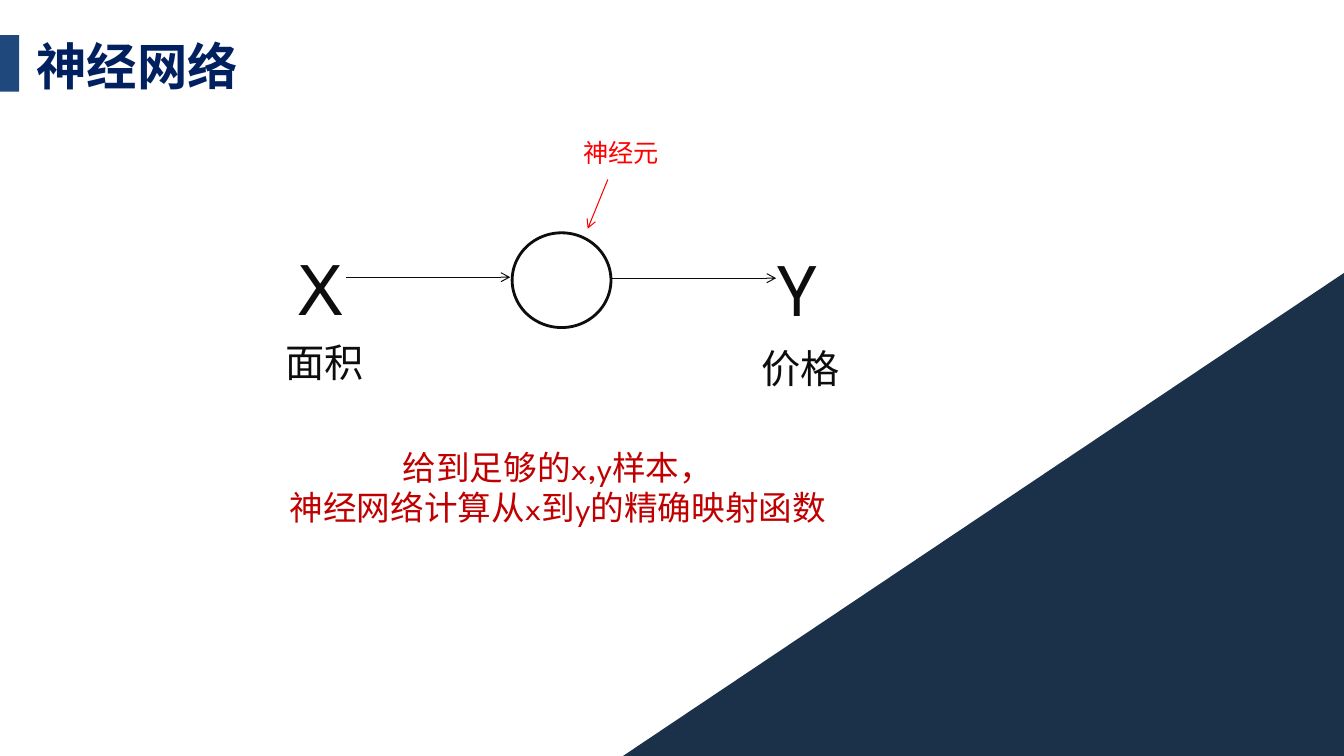
import pptx
import pptx.util
import pptx.dml.color
import pptx.enum.shapes
import pptx.enum.text
import pptx.oxml
import pptx.oxml.ns

Pt = pptx.util.Pt
MSO_SHAPE = pptx.enum.shapes.MSO_SHAPE
PP_ALIGN = pptx.enum.text.PP_ALIGN
MSO_AUTO_SIZE = pptx.enum.text.MSO_AUTO_SIZE

COLORS = {
    "title": "002060",
    "bar": "1F497D",
    "corner": "1B3049",
    "ink": "0D0D0D",
    "white": "FFFFFF",
    "note": "FF0000",
    "conclusion": "C00000",
}
TITLE_FONT = "Noto Sans CJK SC"
BODY_FONT = "League Spartan"


def rgb(name):
    return pptx.dml.color.RGBColor.from_string(COLORS[name])


def style_paragraph(p, size, color, font=BODY_FONT, align=PP_ALIGN.LEFT):
    p.alignment = align
    p.font.size = Pt(size)
    p.font.name = font
    p.font.color.rgb = rgb(color)


def add_title(s, text, left, top, width, height):
    sp = s.shapes.title
    sp.left, sp.top, sp.width, sp.height = Pt(left), Pt(top), Pt(width), Pt(height)
    tf = sp.text_frame
    tf.text = text
    tf.auto_size = MSO_AUTO_SIZE.NONE
    tf.vertical_anchor = pptx.enum.text.MSO_ANCHOR.MIDDLE
    tf.margin_left = tf.margin_top = tf.margin_right = tf.margin_bottom = 0
    p = tf.paragraphs[0]
    style_paragraph(p, 36, "title", TITLE_FONT)
    p.font.bold = True
    p.line_spacing = 0.7


def add_shape(s, kind, left, top, width, height, fill, line=None):
    sp = s.shapes.add_shape(kind, Pt(left), Pt(top), Pt(width), Pt(height))
    sp.shadow.inherit = False
    sp.fill.solid()
    sp.fill.fore_color.rgb = rgb(fill)
    if line:
        sp.line.color.rgb = rgb(line)
        sp.line.width = Pt(2)
    else:
        sp.line.fill.background()
    return sp


def add_arrow(s, x1, y1, x2, y2, color):
    cxn = s.shapes.add_connector(
        pptx.enum.shapes.MSO_CONNECTOR.STRAIGHT, Pt(x1), Pt(y1), Pt(x2), Pt(y2))
    cxn.line.color.rgb = rgb(color)
    cxn.line.width = Pt(0.75)
    tail = pptx.oxml.parse_xml(
        f'<a:tailEnd {pptx.oxml.ns.nsdecls("a")} type="arrow"/>')
    cxn.line._get_or_add_ln().append(tail)
    effects = pptx.oxml.parse_xml(f'<a:effectLst {pptx.oxml.ns.nsdecls("a")}/>')
    cxn.element.spPr.append(effects)


def add_text(s, lines, left, top, width, height, size, color, align=PP_ALIGN.LEFT):
    sp = s.shapes.add_textbox(Pt(left), Pt(top), Pt(width), Pt(height))
    tf = sp.text_frame
    tf.word_wrap = True
    tf.auto_size = MSO_AUTO_SIZE.SHAPE_TO_FIT_TEXT
    tf.text = "\n".join(lines)
    for p in tf.paragraphs:
        style_paragraph(p, size, color, align=align)


def main():
    prs = pptx.Presentation()
    prs.slide_width, prs.slide_height = Pt(960), Pt(540)
    s = prs.slides.add_slide(prs.slide_layouts[5])

    add_title(s, "神经网络", 26, 28, 201.6, 47.5)
    add_shape(s, MSO_SHAPE.RECTANGLE, 0, 25.2, 13.7, 40.3, "bar")
    corner = add_shape(s, MSO_SHAPE.RIGHT_TRIANGLE, 445, 195, 515, 345, "corner")
    corner.element.spPr.get_or_add_xfrm().set("flipH", "1")

    add_shape(s, MSO_SHAPE.OVAL, 365.8, 166.3, 70.6, 67.7, "white", "ink")
    add_arrow(s, 247.5, 198, 364.5, 198, "ink")
    add_arrow(s, 437, 198.7, 554.4, 198.7, "ink")
    add_arrow(s, 434.2, 128.2, 419.8, 163.4, "note")

    add_text(s, ["X"], 206, 167.8, 36, 72.7, 54, "ink")
    add_text(s, ["Y"], 548.6, 168.5, 36, 72.7, 54, "ink")
    add_text(s, ["神经元"], 409.7, 94.3, 134, 29, 18, "note")
    add_text(s, ["面积"], 196.6, 238.3, 170, 41, 28, "ink")
    add_text(s, ["价格"], 537.1, 242.6, 170, 41, 28, "ink")
    add_text(s, ["给到足够的x,y样本，", "神经网络计算从x到y的精确映射函数"],
             176.4, 315.4, 444.2, 65.5, 24, "conclusion", PP_ALIGN.CENTER)

    prs.save("out.pptx")


if __name__ == "__main__":
    main()
